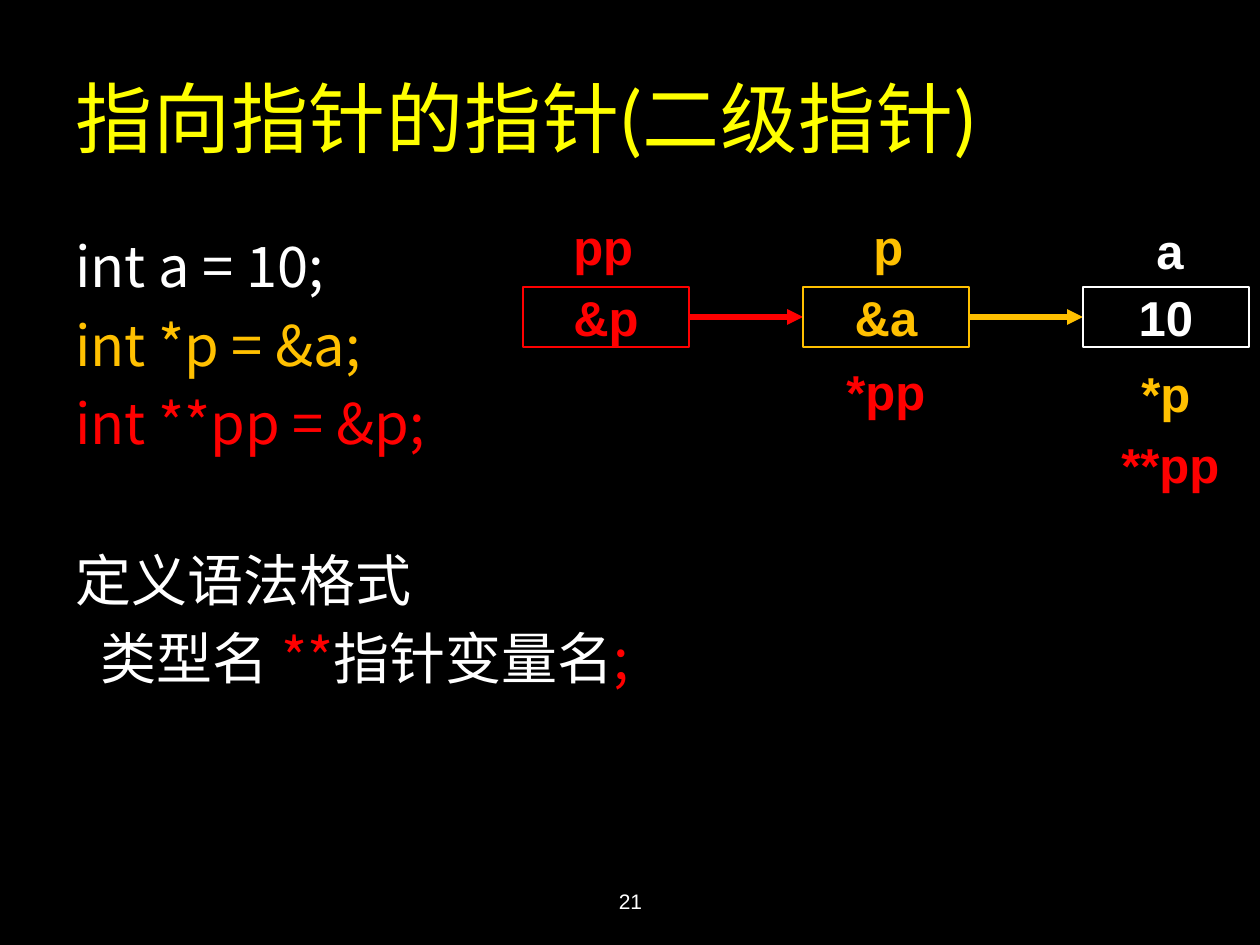
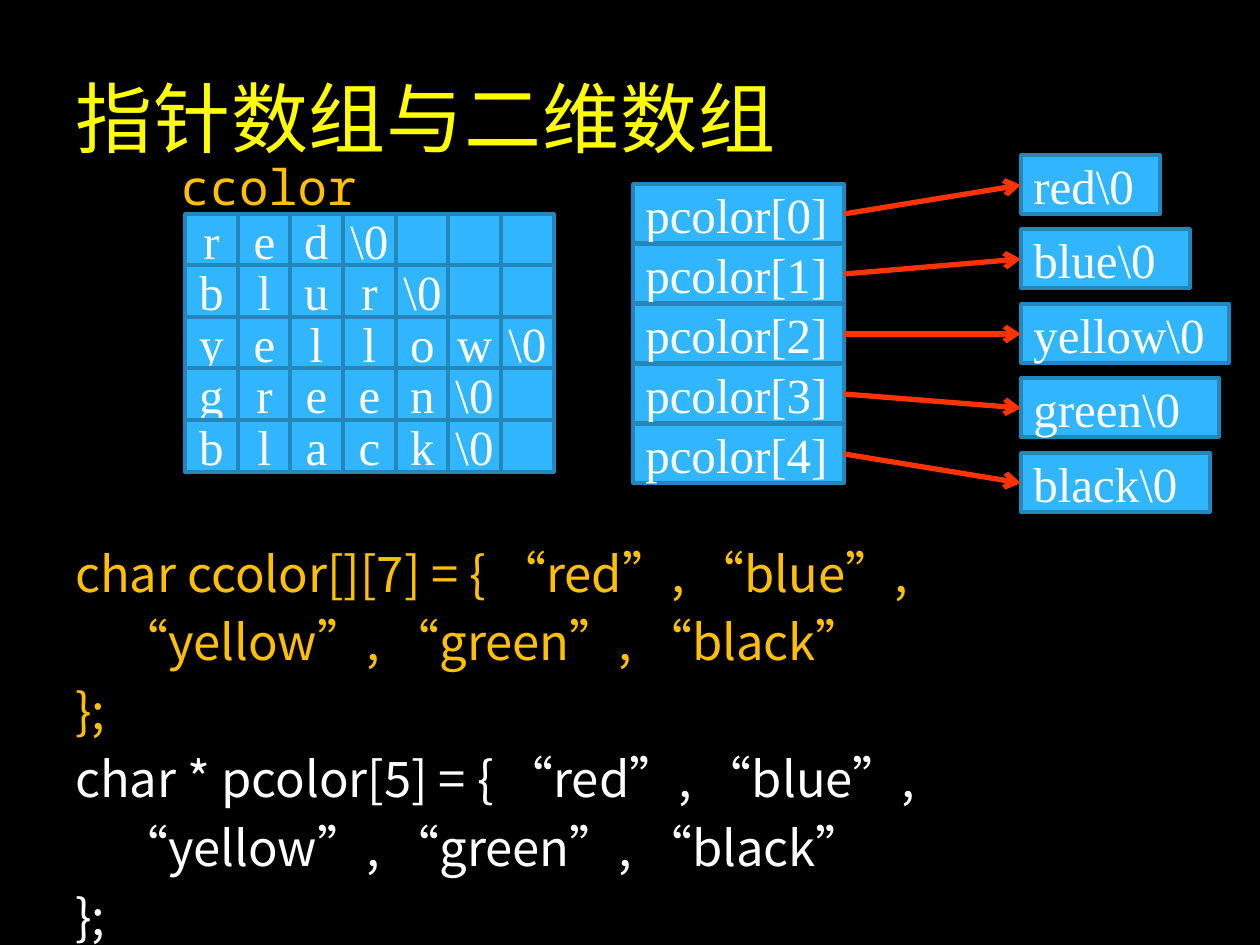
from dataclasses import dataclass

from lxml.etree import SubElement
from pptx import Presentation
from pptx.dml.color import RGBColor
from pptx.enum.shapes import MSO_CONNECTOR as Link, MSO_SHAPE as Shape
from pptx.enum.text import MSO_ANCHOR as Anchor, MSO_AUTO_SIZE as Fit, PP_ALIGN as Align
from pptx.oxml.ns import qn
from pptx.util import Pt

SCALE = 914400 // 126


def px(length):
    return round(length * SCALE)


@dataclass(frozen=True)
class Theme:
    black: str = "000000"
    white: str = "FFFFFF"
    yellow: str = "FFFF00"
    amber: str = "FFC000"
    red: str = "FF0000"
    arrow: str = "FF3300"
    cell: str = "31B6FD"
    edge: str = "2487BB"
    title_font: str = "Lato"
    body_font: str = "Noto Sans CJK SC"
    label_font: str = "Arial"
    cell_font: str = "Times New Roman"
    mono_font: str = "Noto Sans Mono"
    title_size: int = 44
    body_size: int = 32
    code_size: int = 28
    footer_size: int = 12


THEME = Theme()


def rgb(color):
    return RGBColor.from_string(color)


def write(para, text, *, font, size, color, bold=False, spacing=None):
    span = para.add_run()
    span.text = text
    span.font.name = font
    span.font.size = Pt(size)
    span.font.bold = bold
    span.font.color.rgb = rgb(color)
    properties = span.font._element
    SubElement(properties, qn("a:ea")).set("typeface", THEME.body_font)
    if spacing:
        properties.set("spc", str(spacing))


class Deck:
    def __init__(self, theme, width, height):
        self.theme = theme
        self.deck = Presentation()
        self.deck.slide_width = px(width)
        self.deck.slide_height = px(height)
        self.page = None

    def add_page(self, title):
        self.page = self.deck.slides.add_slide(self.deck.slide_layouts[6])
        background = self.page.background.fill
        background.solid()
        background.fore_color.rgb = rgb(self.theme.black)
        self.text(title, 63, 38, 1071, 157, font=self.theme.title_font,
                  size=self.theme.title_size, color=self.theme.yellow,
                  spacing=50, anchor=Anchor.MIDDLE)

    def frame(self, left, top, width, height):
        box = self.page.shapes.add_textbox(px(left), px(top), px(width), px(height))
        box.text_frame.word_wrap = True
        return box.text_frame

    def text(self, text, left, top, width, height, *, anchor=Anchor.TOP,
             align=Align.LEFT, **style):
        frame = self.frame(left, top, width, height)
        frame.vertical_anchor = anchor
        frame.paragraphs[0].alignment = align
        write(frame.paragraphs[0], text, **style)
        return frame

    def label(self, text, left, top, width, color):
        frame = self.text(text, left, top, width, 72, font=self.theme.label_font,
                          size=self.theme.code_size, color=color, bold=True)
        frame.word_wrap = False
        frame.auto_size = Fit.SHAPE_TO_FIT_TEXT

    def body(self, lines, top, height, size):
        frame = self.frame(63, top, 1134, height)
        for index, (spans, indent, skipped) in enumerate(lines):
            para = frame.add_paragraph() if index else frame.paragraphs[0]
            para.line_spacing = Pt(1.3 * size)
            para.space_before = Pt((0.1 + 1.4 * skipped) * size)
            if indent:
                para._p.get_or_add_pPr().set("marL", str(px(indent)))
            for text, color in spans:
                write(para, text, font=self.theme.body_font, size=size, color=color)

    def rectangle(self, text, left, top, width, height, *, line, weight, fill=None,
                  align=Align.CENTER, margin=None, wrap=True, **style):
        box = self.page.shapes.add_shape(Shape.RECTANGLE, px(left), px(top),
                                         px(width), px(height))
        box.shadow.inherit = False
        if fill:
            box.fill.solid()
            box.fill.fore_color.rgb = rgb(fill)
        else:
            box.fill.background()
        box.line.color.rgb = rgb(line)
        box.line.width = Pt(weight)
        frame = box.text_frame
        frame.word_wrap = wrap
        frame.vertical_anchor = Anchor.MIDDLE
        if margin is not None:
            frame.margin_left = frame.margin_right = px(margin)
        if text:
            frame.paragraphs[0].alignment = align
            write(frame.paragraphs[0], text, size=self.theme.code_size, **style)

    def variable(self, text, left, top, width, height, color):
        self.rectangle(text, left, top, width, height, line=color, weight=1, color=color,
                       font=self.theme.label_font, bold=True, wrap=False)

    def cell(self, text, left, top, width, height, **layout):
        self.rectangle(text, left, top, width, height, fill=self.theme.cell,
                       line=self.theme.edge, weight=2, color=self.theme.white,
                       font=self.theme.cell_font, **layout)

    def arrow(self, start, end, color, head):
        line = self.page.shapes.add_connector(Link.STRAIGHT, *map(px, start + end))
        line.line.color.rgb = rgb(color)
        line.line.width = Pt(3)
        SubElement(line.line._get_or_add_ln(), qn("a:tailEnd")).set("type", head)
        SubElement(line._element.spPr, qn("a:effectLst"))

    def footer(self, number):
        self.text(number, 431, 876, 399, 50, font=self.theme.label_font,
                  size=self.theme.footer_size, color=self.theme.white,
                  anchor=Anchor.MIDDLE, align=Align.CENTER)


def pointer_page(deck):
    white, amber, red = THEME.white, THEME.amber, THEME.red
    deck.add_page("指向指针的指针(二级指针)")
    deck.body([
        ([("int a = 10;", white)], 0, 0),
        ([("int *p = &a;", amber)], 0, 0),
        ([("int **pp = &p;", red)], 0, 0),
        ([("定义语法格式", white)], 0, 1),
        ([("类型名 ", white), ("**", red), ("指针变量名", white), (";", red)], 25, 0),
    ], 220, 624, THEME.body_size)
    deck.footer("21")

    left, top, width, height, step = 523, 287, 166, 60, 280
    middle = top + height // 2
    for index, (value, color) in enumerate([("&p", red), ("&a", amber), ("10", white)]):
        start = left + index * step
        deck.variable(value, start, top, width, height, color)
        if index < 2:
            deck.arrow((start + width, middle), (start + step, middle), color, "triangle")

    for text, x, y, size, color in [
        ("pp", 561, 210, 86, red), ("p", 861, 210, 55, amber), ("a", 1144, 214, 53, white),
        ("*pp", 834, 355, 106, red), ("*p", 1129, 357, 74, amber),
        ("**pp", 1109, 428, 125, red),
    ]:
        deck.label(text, x, y, size, color)


def array_page(deck):
    deck.add_page("指针数组与二维数组")
    lines = []
    for start, color in [("char ccolor[][7]", THEME.amber), ("char * pcolor[5]", THEME.white)]:
        lines += [
            ([(start + " = { “red”, “blue”,", color)], 0, 0),
            ([("“yellow”, “green”, “black”", color)], 44, 0),
            ([("};", color)], 0, 0),
        ]
    deck.body(lines, 532, 397, THEME.code_size)

    strings = [("red\\0", 139), ("blue\\0", 169), ("yellow\\0", 208),
               ("green\\0", 198), ("black\\0", 189)]
    height, pointer_left, pointer_width, string_left = 59, 633, 211, 1021
    for index, (text, width) in enumerate(strings):
        pointer_top = 184 + 60 * index
        string_top = round(155 + 74.4 * index)
        deck.cell(f"pcolor[{index}]", pointer_left, pointer_top, pointer_width, height,
                  align=Align.LEFT)
        deck.cell(text, string_left, string_top, width, height, align=Align.LEFT)
        deck.arrow((pointer_left + pointer_width, pointer_top + 30),
                   (string_left, string_top + 30), THEME.arrow, "arrow")

    words = ["red", "blur", "yellow", "green", "black"]
    for row, word in enumerate(words):
        letters = [*word, "\\0"]
        letters += [""] * (7 - len(letters))
        for column, letter in enumerate(letters):
            deck.cell(letter, round(185 + 52.7 * column), round(214 + 51.4 * row),
                      53, 52, margin=0)
    deck.text("ccolor", 168, 156, 301, 59, font=THEME.mono_font, size=THEME.code_size,
              color=THEME.amber, anchor=Anchor.MIDDLE)


deck = Deck(THEME, 1260, 945)
pointer_page(deck)
array_page(deck)
deck.deck.save("out.pptx")
